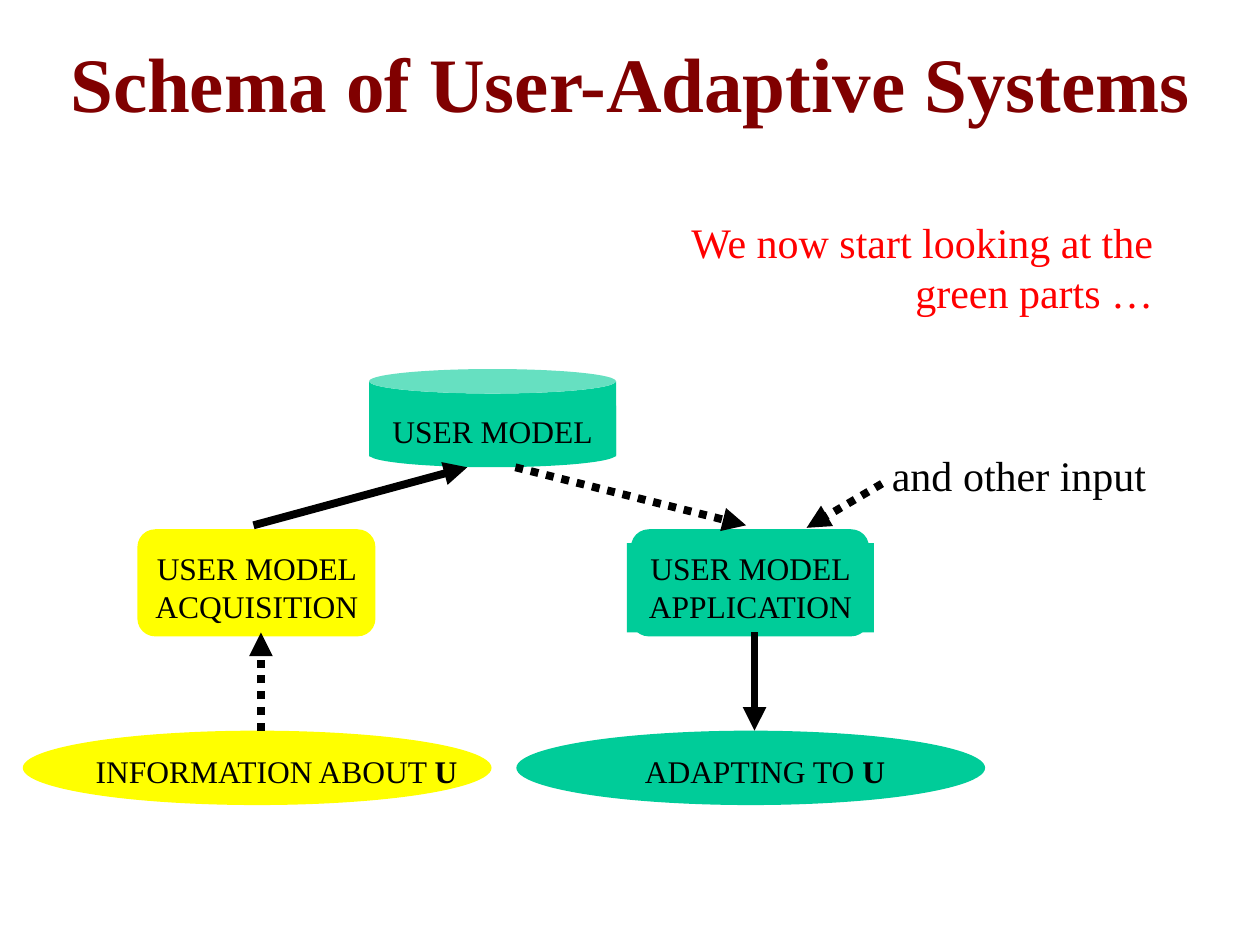
import pptx
import pptx.util
import pptx.dml.color
import pptx.enum.dml
import pptx.enum.shapes
import pptx.enum.text
import pptx.oxml
import pptx.oxml.ns
import lxml.etree

Cm, Pt = pptx.util.Cm, pptx.util.Pt
SHAPE = pptx.enum.shapes.MSO_SHAPE
ALIGN = pptx.enum.text.PP_ALIGN
ANCHOR = pptx.enum.text.MSO_ANCHOR

COLORS = {"title": "800000", "note": "FF0000", "ink": "000000",
          "green": "00CC99", "yellow": "FFFF00"}
FONT = "Times New Roman"

# Content: lengths in cm
COLUMN_STEP = 9.95
COLUMNS = [  # fill, step label, outcome text, its bold end, outcome text left and width
    ("yellow", "USER MODEL\vACQUISITION", "INFORMATION ABOUT ", "U", 1.68, 7.87),
    ("green", "USER MODEL\vAPPLICATION", "ADAPTING TO ", "U", 12.75, 5.41),
]
NOTES = [  # lines, area, size, color, bold, alignment, anchor, wrap
    (["Schema of User-Adaptive Systems"], (0.51, 0.05, 24.41, 3.18),
     44, "title", True, ALIGN.CENTER, ANCHOR.MIDDLE, True),
    (["We now start looking at the", "green parts …"], (13.59, 4.24, 9.91, 2.31),
     24, "note", False, ALIGN.RIGHT, ANCHOR.TOP, False),
    (["and other input"], (17.73, 8.94, 5.69, 1.27),
     24, "ink", False, ALIGN.LEFT, ANCHOR.TOP, False),
]
ARROWS = [  # start, end, dotted
    ((5.26, 14.73), (5.26, 12.75), True),
    ((5.11, 10.59), (9.42, 9.42), False),
    ((10.39, 9.42), (15.04, 10.59), True),
    ((15.21, 12.75), (15.21, 14.73), False),
    ((17.78, 9.75), (16.26, 10.64), True),
]

deck = pptx.Presentation()
deck.slide_width, deck.slide_height = Cm(25.4), Cm(19.05)
page = deck.slides.add_slide(deck.slide_layouts[6])


def rgb(name):
    return pptx.dml.color.RGBColor.from_string(COLORS[name])


def add_block(kind, area, fill):
    block = page.shapes.add_shape(kind, *map(Cm, area))
    block.shadow.inherit = False
    block.fill.solid()
    block.fill.fore_color.rgb = rgb(fill)
    block.line.fill.background()
    return block


def write(box, lines, size=18, color="ink", bold=False, align=ALIGN.CENTER,
          anchor=ANCHOR.TOP, wrap=True):
    frame = box.text_frame
    frame.word_wrap = wrap
    frame.vertical_anchor = anchor
    for index, line in enumerate(lines):
        para = frame.add_paragraph() if index else frame.paragraphs[0]
        para.text = line
        para.alignment = align
        para.font.name, para.font.size = FONT, Pt(size)
        para.font.bold = bold
        para.font.color.rgb = rgb(color)
    return frame


def add_text(area, lines, *style, **options):
    return write(page.shapes.add_textbox(*map(Cm, area)), lines, *style, **options)


def add_arrow(start, end, dotted):
    arrow = page.shapes.add_connector(
        pptx.enum.shapes.MSO_CONNECTOR.STRAIGHT, *map(Cm, start + end))
    arrow.line.width = Pt(4.5)
    arrow.line.color.rgb = rgb("ink")
    if dotted:
        arrow.line.dash_style = pptx.enum.dml.MSO_LINE.ROUND_DOT
    qn = pptx.oxml.ns.qn
    lxml.etree.SubElement(arrow.line._get_or_add_ln(), qn("a:tailEnd"), type="triangle")
    lxml.etree.SubElement(arrow._element.spPr, qn("a:effectLst"))


# Title and remarks
for lines, area, *style in NOTES:
    add_text(area, lines, *style)

# User model store
add_block(SHAPE.CAN, (7.44, 7.44, 4.98, 1.98), "green")
write(add_block(SHAPE.RECTANGLE, (7.44, 8.18, 4.98, 1.02), "green"), ["USER MODEL"])

# Two columns: a processing step above its source or outcome
for index, (fill, step, outcome, bold_end, left, width) in enumerate(COLUMNS):
    shift = index * COLUMN_STEP
    add_block(SHAPE.ROUNDED_RECTANGLE, (2.77 + shift, 10.67, 4.8, 2.16), fill)
    label_area = (2.69 + shift, 10.95, 4.98, 1.8)
    if fill == "green":
        write(add_block(SHAPE.RECTANGLE, label_area, fill), [step])
    else:
        add_text(label_area, [step])
    add_block(SHAPE.OVAL, (0.46 + shift, 14.73, 9.45, 1.5), fill)
    frame = add_text((left, 15.04, width, 1.02), [outcome], align=ALIGN.LEFT, wrap=False)
    span = frame.paragraphs[0].add_run()
    span.text = bold_end
    span.font.bold = True

# Arrows
for arrow in ARROWS:
    add_arrow(*arrow)

deck.save("out.pptx")
